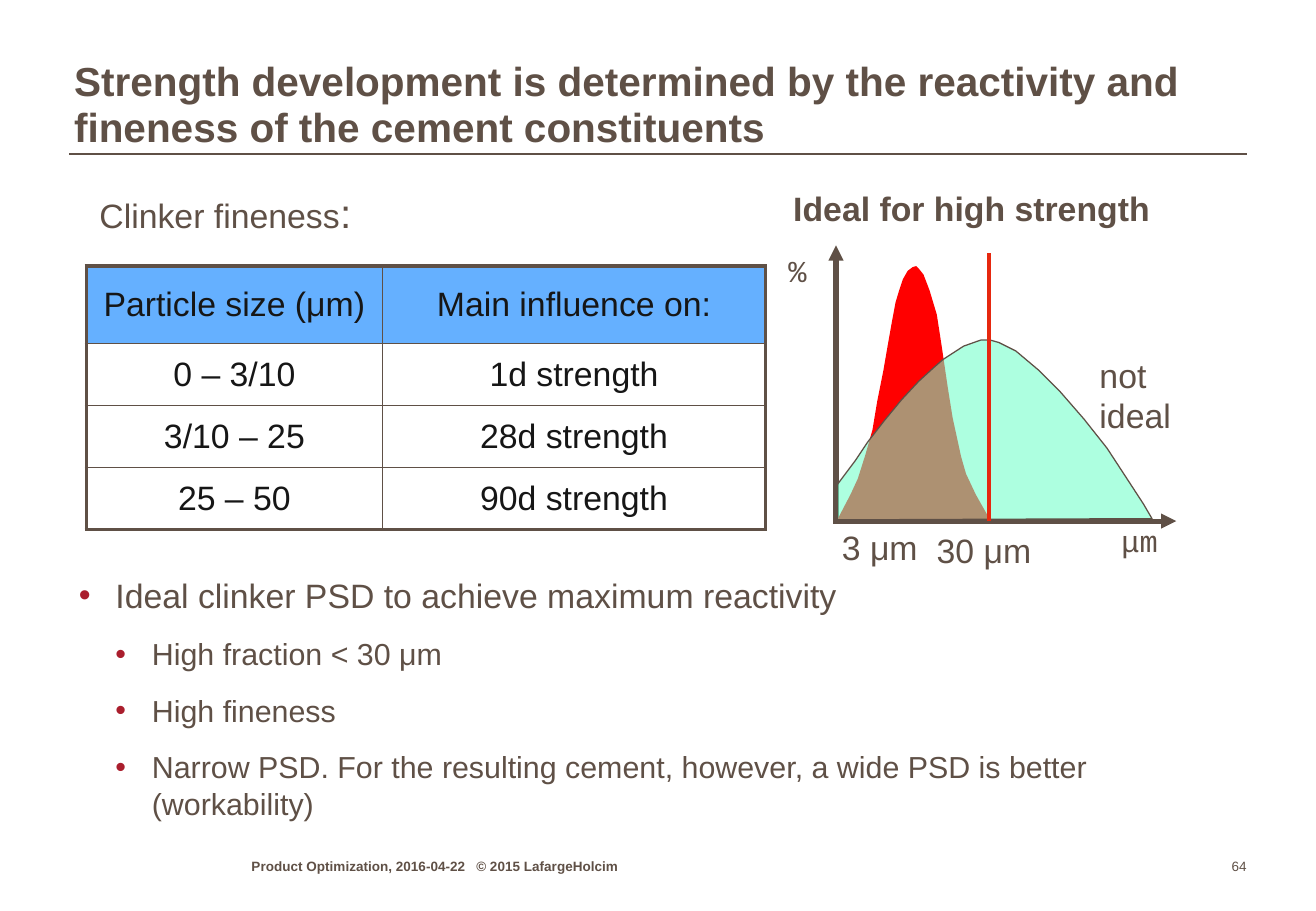
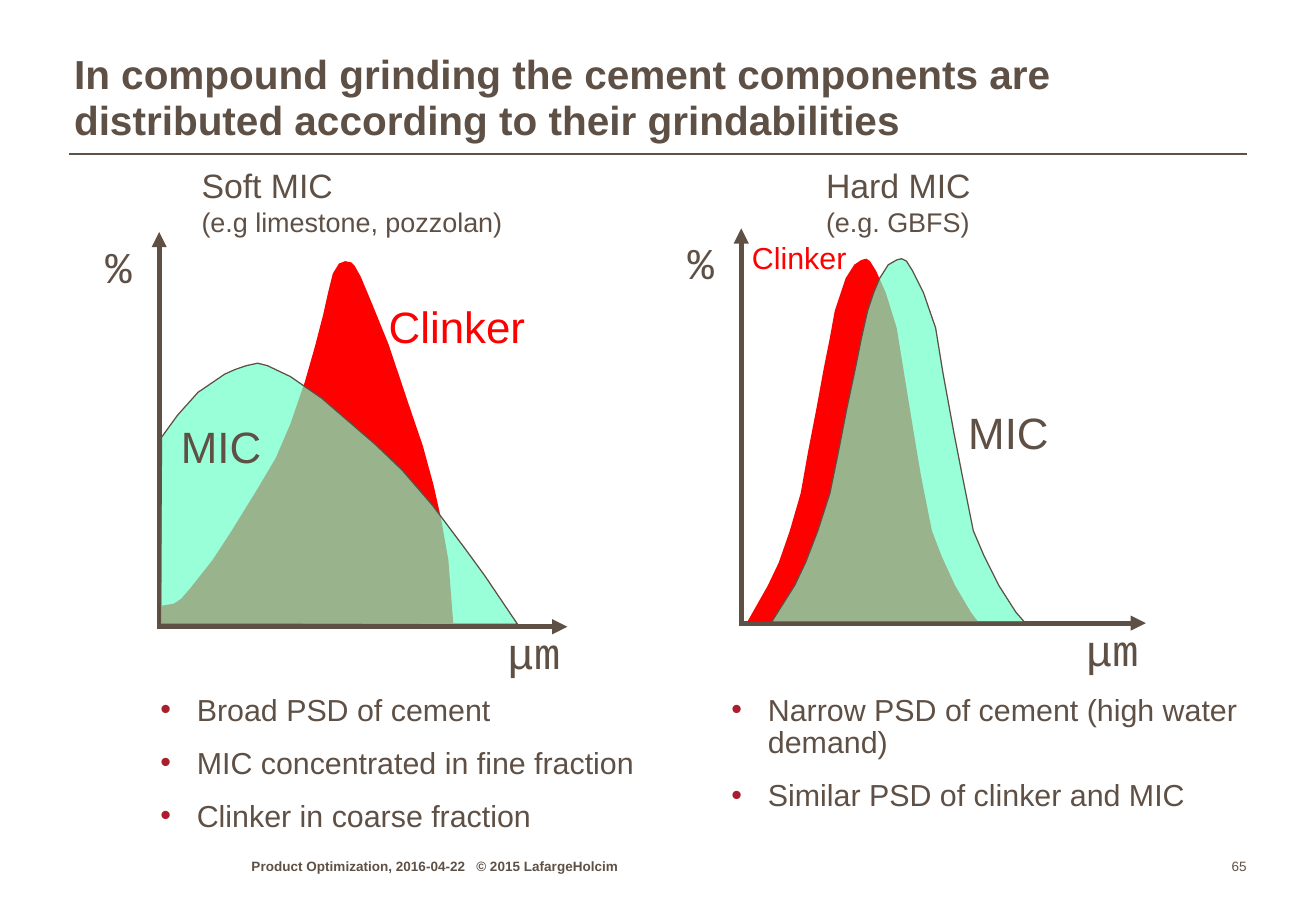
from dataclasses import dataclass

from lxml import etree
from pptx import Presentation
from pptx.dml.color import RGBColor
from pptx.enum.shapes import MSO_CONNECTOR as Conn
from pptx.enum.text import MSO_ANCHOR as Anchor, PP_ALIGN as Align
from pptx.oxml.ns import qn
from pptx.util import Inches, Pt


@dataclass(frozen=True)
class Theme:
    ink: str = "5F5046"
    cell_ink: str = "161616"
    header: str = "65B0FF"
    white: str = "FFFFFF"
    bullet: str = "AA1E2D"
    limit: str = "E6280F"
    clinker: str = "FF0000"
    mint: str = "6FFFCA"
    sans: str = "Arial"
    mono: str = "Courier New"
    title: int = 24
    large: int = 26
    body: int = 20
    sub: int = 18
    small: int = 16
    footer: int = 8


T = Theme()
WIDTH, HEIGHT = 10.83, 7.5
FOOTER = "Product Optimization, 2016-04-22\t© 2015 LafargeHolcim"
BULLET_INDENT = 0.3

TABLE_ROWS = [
    ("Particle size (μm)", "Main influence on:"),
    ("0 – 3/10", "1d strength"), ("3/10 – 25", "28d strength"), ("25 – 50", "90d strength"),
]
TABLE_COLS, ROW_HEIGHTS = (2.44, 3.15), (0.64, 0.51, 0.51, 0.51)

# Curve points are in hundredths of an inch.
NARROW = [
    (689, 428), (700, 407), (706, 394), (712, 375), (718, 354), (722, 330), (727, 305),
    (731, 282), (734, 265), (737, 249), (740, 239), (743, 230), (747, 223), (751, 220),
    (754, 219), (756, 221), (760, 226), (765, 239), (771, 259), (775, 285), (780, 319),
    (784, 344), (791, 376), (795, 390), (803, 407), (812, 423), (816, 428),
]
WIDE = [
    (689, 399), (704, 379), (714, 364), (728, 346), (742, 329), (756, 314), (768, 303),
    (776, 296), (793, 285), (807, 280), (815, 280), (822, 282), (836, 289), (855, 305),
    (872, 322), (892, 345), (911, 369), (928, 395), (941, 415), (948, 427), (689, 428),
]
COARSE_CLINKER = [
    (131, 499), (137, 498), (143, 497), (149, 493), (156, 485), (175, 461), (190, 438),
    (211, 404), (227, 377), (239, 349), (251, 314), (259, 286), (266, 259), (270, 241),
    (274, 225), (279, 217), (284, 215), (289, 216), (292, 219), (297, 228), (307, 252),
    (320, 284), (334, 326), (348, 367), (357, 400), (363, 427), (369, 461), (373, 513),
    (131, 514),
]
SOFT_MIC = [
    (133, 360), (146, 342), (163, 323), (185, 308), (194, 304), (203, 301), (212, 299),
    (220, 301), (239, 310), (265, 328), (309, 366), (331, 387), (356, 416), (383, 452),
    (399, 474), (426, 514), (132, 514),
]
FINE_CLINKER = [
    (615, 512), (632, 482), (641, 463), (650, 437), (659, 406), (665, 372), (672, 336),
    (678, 303), (683, 278), (687, 256), (692, 241), (696, 229), (703, 218), (709, 214),
    (713, 213), (716, 215), (721, 223), (729, 241), (738, 270), (744, 307), (752, 356),
    (758, 392), (767, 437), (775, 458), (786, 482), (799, 504), (805, 512),
]
# The hard MIC has the clinker's shape, moved right and stretched.
HARD_MIC = [(635 + (x - 615) * 2.08 / 1.9, y) for x, y in FINE_CLINKER]

STRENGTH = {
    "title": "Strength development is determined by the reactivity and "
             "fineness of the cement constituents",
    "title_top": 0.39, "number": "64",
    "charts": [{"origin": (6.88, 4.29), "top": 2.02, "right": 9.68,
                "clinker": NARROW, "mic": WIDE, "opacity": 57}],
    "labels": [
        ((6.43, 1.5, 3.3, 0.44), [[("Ideal for high strength", T.body)]], {"bold": True}),
        ((0.72, 1.5, 2.4, 0.51), [[("Clinker fineness", T.body), (":", T.title)]], {}),
        ((9.13, 4.25, 0.65, 0.4), [[("μm", T.sub)]], {"font": T.mono}),
        ((6.39, 2.03, 0.5, 0.4), [[("%", T.sub)]], {"font": T.mono}),
        ((7.61, 4.31, 1.1, 0.43), [[("30 μm", T.body)]], {}),
        ((6.83, 4.29, 0.95, 0.43), [[("3 μm", T.body)]], {}),
        ((8.95, 2.87, 0.9, 0.77), [[("not", T.body)], [("ideal", T.body)]], {}),
    ],
    "bullets": [((0.65, 4.73, 9.61, 1.89), 1, [
        (0, "Ideal clinker PSD to achieve maximum reactivity", T.body),
        (1, "High fraction < 30 μm", T.sub),
        (1, "High fineness", T.sub),
        (1, "Narrow PSD. For the resulting cement, however, a wide PSD is better "
            "(workability)", T.sub),
    ])],
}
GRINDING = {
    "title": "In compound grinding the cement components are "
             "distributed according to their grindabilities",
    "title_top": 0.33, "number": "65",
    "charts": [
        {"origin": (1.31, 5.16), "top": 1.91, "right": 4.67,
         "clinker": COARSE_CLINKER, "mic": SOFT_MIC, "opacity": 70},
        {"origin": (6.1, 5.13), "top": 1.88, "right": 9.43,
         "clinker": FINE_CLINKER, "mic": HARD_MIC, "opacity": 70},
    ],
    "labels": [
        ((1.56, 1.31, 2.85, 0.71),
         [[("Soft MIC", T.body)], [("(e.g limestone, pozzolan)", T.small)]], {}),
        ((6.7, 1.31, 1.5, 0.71), [[("Hard MIC", T.body)], [("(e.g. GBFS)", T.small)]], {}),
        ((4.08, 5.1, 0.8, 0.53), [[("μm", T.large)]], {"font": T.mono}),
        ((0.77, 1.92, 0.6, 0.53), [[("%", T.large)]], {"font": T.mono}),
        ((1.39, 3.41, 1, 0.53), [[("MIC", T.large)]], {}),
        ((3.1, 2.42, 1.5, 0.53), [[("Clinker", T.large)]], {"color": T.clinker}),
        ((8.84, 5.08, 0.8, 0.53), [[("μm", T.large)]], {"font": T.mono}),
        ((5.56, 1.89, 0.6, 0.53), [[("%", T.large)]], {"font": T.mono}),
        ((7.87, 3.29, 1, 0.53), [[("MIC", T.large)]], {}),
        ((6.09, 1.92, 1.1, 0.4), [[("Clinker", T.sub)]], {"color": T.clinker}),
    ],
    "bullets": [
        ((1.32, 5.72, 4.34, 1.3), 0.9, [
            (0, "Broad PSD of cement", T.sub),
            (0, "MIC concentrated in fine fraction", T.sub),
            (0, "Clinker in coarse fraction", T.sub),
        ]),
        ((6.02, 5.72, 4.34, 1.3), 0.9, [
            (0, "Narrow PSD of cement (high water demand)", T.sub),
            (0, "Similar PSD of clinker and MIC", T.sub),
        ]),
    ],
}


def rgb(color):
    return RGBColor.from_string(color)


def sub(parent, tag, **attrs):
    return etree.SubElement(parent, qn(tag), attrs)


def style(font, size, color=T.ink, name=T.sans, bold=False):
    font.size, font.name, font.bold = Pt(size), name, bold
    font.color.rgb = rgb(color)


def text_frame(s, box, anchor=Anchor.TOP):
    """Add a text box without insets and return its frame."""
    tf = s.shapes.add_textbox(*map(Inches, box)).text_frame
    tf.margin_left = tf.margin_top = tf.margin_right = tf.margin_bottom = 0
    tf.vertical_anchor, tf.word_wrap = anchor, True
    return tf


def label(s, box, lines, font=T.sans, color=T.ink, bold=False):
    tf = s.shapes.add_textbox(*map(Inches, box)).text_frame
    tf.word_wrap = True
    for i, runs in enumerate(lines):
        p = tf.add_paragraph() if i else tf.paragraphs[0]
        for text, size in runs:
            r = p.add_run()
            r.text = text
            style(r.font, size, color, font, bold)


def line(s, start, end, color=T.ink, width=1, arrow=False):
    c = s.shapes.add_connector(Conn.STRAIGHT, *map(Inches, start + end))
    c.line.color.rgb, c.line.width = rgb(color), Pt(width)
    if arrow:
        sub(c.line._get_or_add_ln(), "a:tailEnd", type="triangle")
    sub(c._element.spPr, "a:effectLst")


def curve(s, points, color, opacity=100, outline=False):
    scaled = [(round(x), round(y)) for x, y in points]
    fb = s.shapes.build_freeform(*scaled[0], scale=Inches(0.01))
    fb.add_line_segments(scaled[1:], close=True)
    sp = fb.convert_to_shape()
    sp.shadow.inherit = False
    sp.fill.solid()
    sp.fill.fore_color.rgb = rgb(color)
    if opacity < 100:
        fill = sp._element.spPr.find(qn("a:solidFill"))
        sub(fill[0], "a:alpha", val=str(opacity * 1000))
    if outline:
        sp.line.color.rgb, sp.line.width = rgb(T.ink), Pt(0.75)
    else:
        sp.line.fill.background()


def distribution(s, chart):
    """Draw the axes with the clinker curve and the translucent curve over it."""
    x, y = chart["origin"]
    line(s, (x, y + 0.02), (x, chart["top"]), width=3, arrow=True)
    line(s, (x, y), (chart["right"], y), width=3, arrow=True)
    curve(s, chart["clinker"], T.clinker)
    curve(s, chart["mic"], T.mint, chart["opacity"], outline=True)


def bullets(s, box, spacing, items):
    tf = text_frame(s, box)
    for i, (level, text, size) in enumerate(items):
        p = tf.add_paragraph() if i else tf.paragraphs[0]
        p.text, p.level, p.line_spacing = text, level, spacing
        p.space_before = Pt(12 if i else 0)
        pPr = p._p.get_or_add_pPr()
        pPr.set("marL", str(Inches(BULLET_INDENT * (level + 1))))
        pPr.set("indent", str(-Inches(BULLET_INDENT)))
        sub(sub(pPr, "a:buClr"), "a:srgbClr", val=T.bullet)
        sub(pPr, "a:buFont", typeface=T.sans)
        sub(pPr, "a:buChar", char="•")
        style(p.runs[0].font, size)


def cell_borders(cell, widths):
    """Set the left, right, top and bottom border widths, in points."""
    tcPr = cell._tc.get_or_add_tcPr()
    for i, (side, width) in enumerate(zip("LRTB", widths)):
        ln = etree.Element(qn(f"a:ln{side}"), w=str(Pt(width)))
        sub(sub(ln, "a:solidFill"), "a:srgbClr", val=T.ink)
        tcPr.insert(i, ln)


def influence_table(s):
    n_rows, n_cols = len(ROW_HEIGHTS), len(TABLE_COLS)
    box = (0.71, 2.19, sum(TABLE_COLS), sum(ROW_HEIGHTS))
    table = s.shapes.add_table(n_rows, n_cols, *map(Inches, box)).table
    for col, width in zip(table.columns, TABLE_COLS):
        col.width = Inches(width)
    for i, (row, height) in enumerate(zip(table.rows, ROW_HEIGHTS)):
        row.height = Inches(height)
        for j, cell in enumerate(row.cells):
            cell.text, cell.vertical_anchor = TABLE_ROWS[i][j], Anchor.MIDDLE
            p = cell.text_frame.paragraphs[0]
            p.alignment = Align.CENTER
            style(p.runs[0].font, T.body, T.cell_ink)
            cell.fill.solid()
            cell.fill.fore_color.rgb = rgb(T.white if i else T.header)
            outer = (j == 0, j == n_cols - 1, i == 0, i == n_rows - 1)
            cell_borders(cell, [2.25 if edge else 1 for edge in outer])


def frame(s, title, top, number):
    """Add what every slide shares: rule, title, footer and slide number."""
    line(s, (0.57, 1.27), (10.26, 1.27))
    p = text_frame(s, (0.61, top, 9.6, 0.86), Anchor.BOTTOM).paragraphs[0]
    p.text, p.line_spacing = title, 0.95
    style(p.runs[0].font, T.title, bold=True)

    p = text_frame(s, (2.07, 7.02, 3.47, 0.18), Anchor.BOTTOM).paragraphs[0]
    p.text = FOOTER
    tabs = sub(p._p.get_or_add_pPr(), "a:tabLst")
    sub(tabs, "a:tab", pos=str(Inches(1.85)), algn="l")
    style(p.runs[0].font, T.footer, bold=True)

    p = text_frame(s, (9.79, 7.02, 0.47, 0.18), Anchor.BOTTOM).paragraphs[0]
    p.text, p.alignment = number, Align.RIGHT
    style(p.runs[0].font, T.footer)


def build_slide(prs, content):
    s = prs.slides.add_slide(prs.slide_layouts[6])
    frame(s, content["title"], content["title_top"], content["number"])
    for block in content["bullets"]:
        bullets(s, *block)
    for chart in content["charts"]:
        distribution(s, chart)
    for box, lines, look in content["labels"]:
        label(s, box, lines, **look)
    return s


def main():
    prs = Presentation()
    prs.slide_width, prs.slide_height = Inches(WIDTH), Inches(HEIGHT)
    s = build_slide(prs, STRENGTH)
    influence_table(s)
    line(s, (8.14, 4.29), (8.14, 2.08), T.limit, 2.25)
    build_slide(prs, GRINDING)
    prs.save("out.pptx")


if __name__ == "__main__":
    main()
